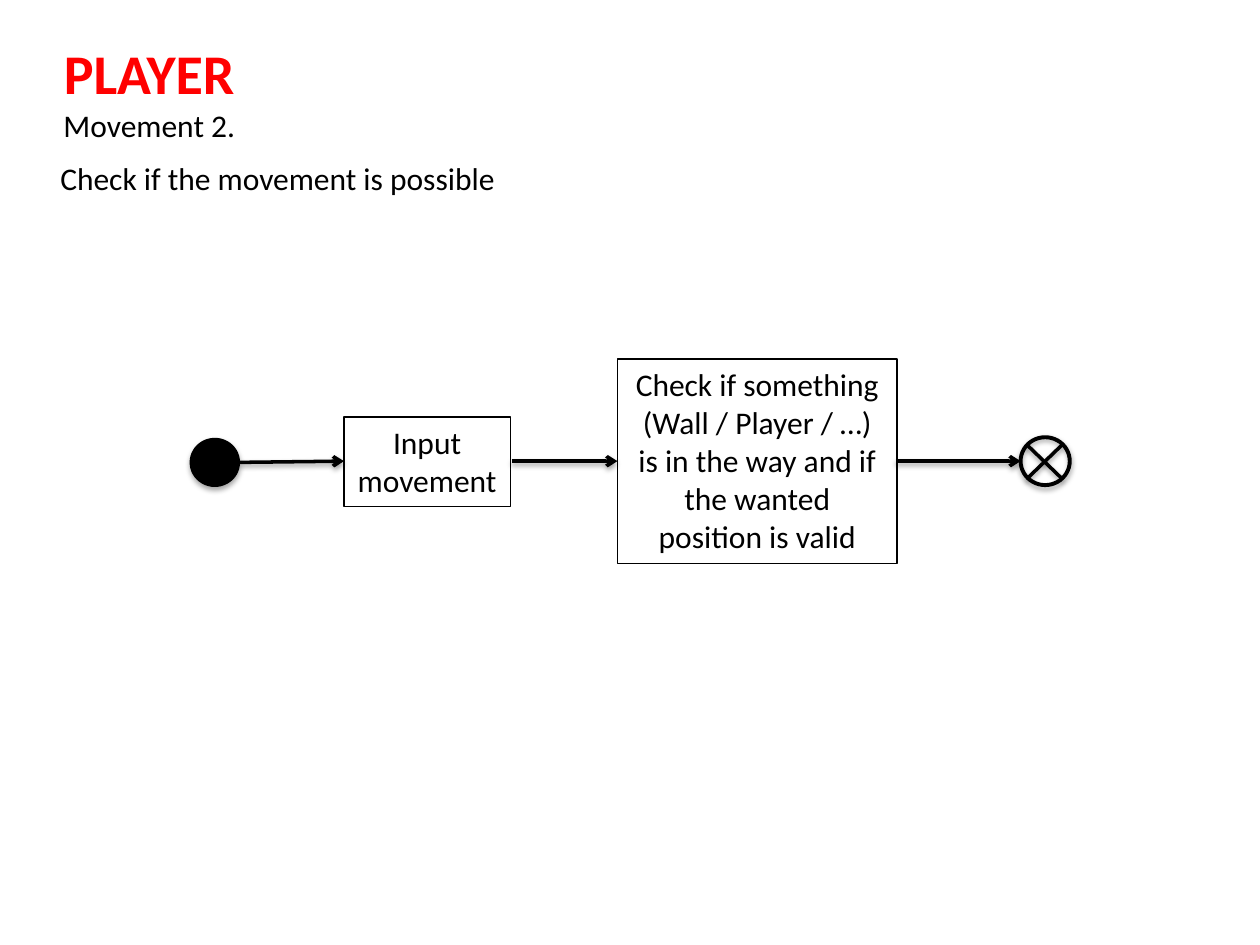
from typing import NamedTuple

from lxml.etree import SubElement
from pptx import Presentation
from pptx.dml.color import RGBColor
from pptx.enum.shapes import MSO_CONNECTOR as Link, MSO_SHAPE as Kind
from pptx.enum.text import MSO_AUTO_SIZE as Fit, PP_ALIGN as Align
from pptx.oxml.ns import qn
from pptx.util import Inches, Pt

BLACK = RGBColor(0, 0, 0)
RED = RGBColor(255, 0, 0)
MID = 3.66
DOT = (0.39, 0.38)


class Run(NamedTuple):
    """The words and look of one paragraph."""
    text: str
    size: int = 18
    color: RGBColor = BLACK
    bold: bool = False


class Box(NamedTuple):
    """A text box with its paragraphs."""
    left: float
    top: float
    width: float
    height: float
    runs: list[Run]
    align: Align = Align.CENTER
    wrap: bool = False
    frame: bool = False


class Line(NamedTuple):
    """A straight line, with or without an arrowhead."""
    x1: float
    y1: float
    x2: float
    y2: float
    arrow: bool = True


def add_shade(effects, alpha: int, dist: float) -> None:
    """Put a soft shadow below into an effect list."""
    shade = SubElement(effects, qn("a:outerShdw"), blurRad=str(Pt(3.1)),
                       dist=str(Pt(dist)), dir="5400000", rotWithShape="0")
    color = SubElement(shade, qn("a:srgbClr"), val=str(BLACK))
    SubElement(color, qn("a:alpha"), val=str(alpha * 1000))


def add_box(slide, box: Box) -> None:
    """Draw a text box, framed if asked."""
    shape = slide.shapes.add_textbox(*map(Inches, box[:4]))
    if box.frame:
        shape.line.color.rgb = BLACK
        shape.line.width = Pt(0.75)
    frame = shape.text_frame
    frame.word_wrap = box.wrap
    frame.auto_size = Fit.SHAPE_TO_FIT_TEXT
    for i, item in enumerate(box.runs):
        para = frame.add_paragraph() if i else frame.paragraphs[0]
        para.alignment = box.align
        run = para.add_run()
        run.text = item.text
        run.font.name = "Calibri"
        run.font.size = Pt(item.size)
        run.font.bold = item.bold
        run.font.color.rgb = item.color


def add_dot(slide, left: float, top: float, solid: bool) -> None:
    """Draw the start or end circle of the flow."""
    dot = slide.shapes.add_shape(
        Kind.OVAL, *map(Inches, (left, top, *DOT)))
    if solid:
        dot.fill.solid()
        dot.fill.fore_color.rgb = BLACK
    else:
        dot.fill.background()
    dot.line.color.rgb = BLACK
    dot.line.width = Pt(0.75 if solid else 2.25)
    dot.shadow.inherit = False
    add_shade(dot._element.spPr.find(qn("a:effectLst")), 35, 1.8)


def add_line(slide, line: Line) -> None:
    """Draw a line with its shadow."""
    link = slide.shapes.add_connector(
        Link.STRAIGHT, *map(Inches, line[:4]))
    link.line.color.rgb = BLACK
    link.line.width = Pt(2)
    if line.arrow:
        SubElement(link.line._get_or_add_ln(), qn("a:tailEnd"), type="arrow")
    effects = SubElement(link._element.spPr, qn("a:effectLst"))
    add_shade(effects, 38, 1.6)


BOXES = [
    Box(0.38, 0.26, 1.61, 0.94,
        [Run("PLAYER", 32, RED, True), Run("Movement 2.")]),
    Box(0.38, 1.21, 3.69, 0.4,
        [Run("Check if the movement is possible")], Align.LEFT),
    Box(2.73, 3.31, 1.32, 0.71,
        [Run("Input"), Run("movement")], frame=True),
    Box(4.9, 2.85, 2.22, 1.62,
        [Run("Check if something (Wall / Player / …) is in the way "
             "and if the wanted position is valid")],
        wrap=True, frame=True),
]
LINES = [
    Line(1.9, 3.67, 2.73, MID),
    Line(4.06, MID, 4.9, MID),
    Line(7.11, MID, 8.1, MID),
    Line(8.15, 3.53, 8.43, 3.8, False),
    Line(8.43, 3.53, 8.15, 3.8, False),
]


def main() -> None:
    """Build the slide and save it."""
    deck = Presentation()
    deck.slide_width, deck.slide_height = Inches(10), Inches(7.5)
    slide = deck.slides.add_slide(deck.slide_layouts[6])
    for box in BOXES:
        add_box(slide, box)
    add_dot(slide, 1.51, 3.48, True)
    add_dot(slide, 8.1, 3.47, False)
    for line in LINES:
        add_line(slide, line)
    deck.save("out.pptx")


main()
